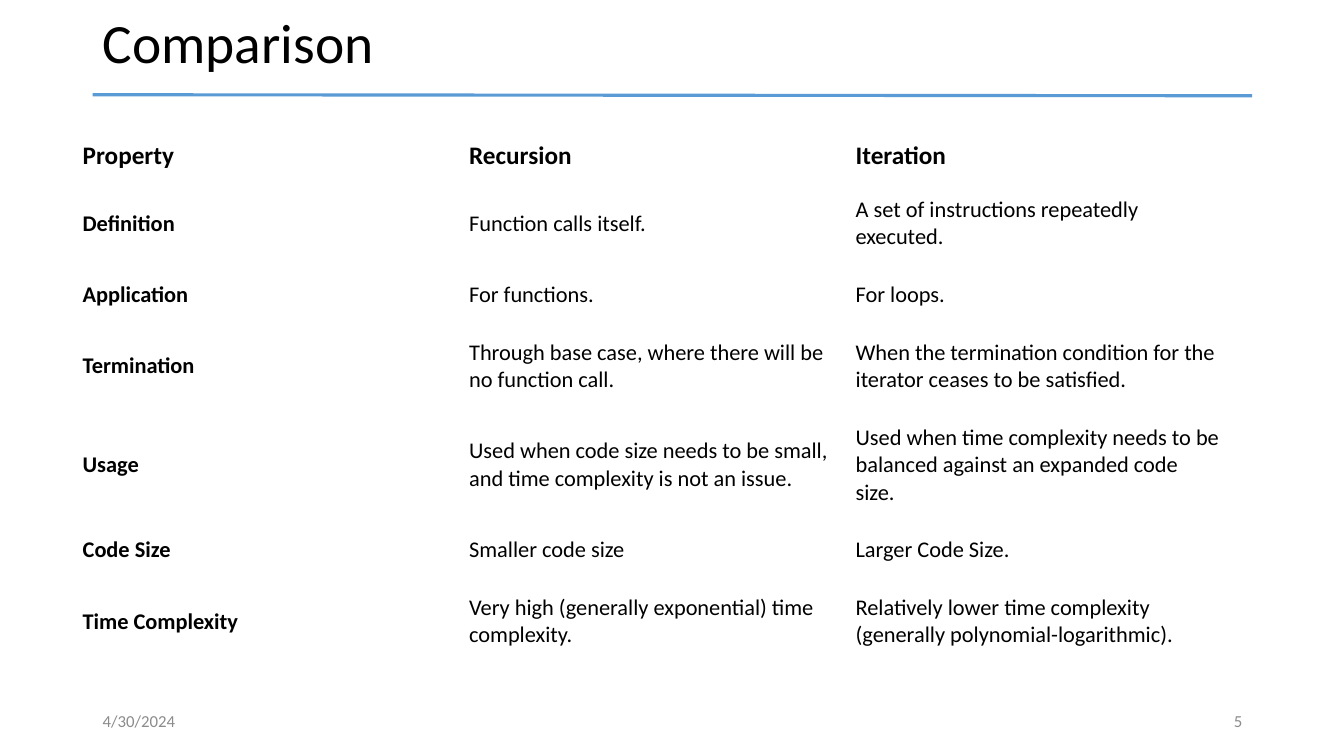
from lxml import etree
from pptx import Presentation
from pptx import util as u
from pptx.dml.color import RGBColor
from pptx.enum import shapes, text
from pptx.oxml.ns import qn

COLORS = {"ink": "000000", "paper": "FFFFFF", "rule": "5B9BD5", "footer": "8C8C8C"}
FONT = "Calibri"

HEADINGS = ("Property", "Recursion", "Iteration")
COMPARISON = [
    ("Definition", "Function calls itself.",
     "A set of instructions repeatedly executed."),
    ("Application", "For functions.", "For loops."),
    ("Termination", "Through base case, where there will be no function call.",
     "When the termination condition for the iterator ceases to be satisfied."),
    ("Usage",
     "Used when code size needs to be small, and time complexity is not an issue.",
     "Used when time complexity needs to be balanced against an expanded code size."),
    ("Code Size", "Smaller code size", "Larger Code Size."),
    ("Time Complexity", "Very high (generally exponential) time complexity.",
     "Relatively lower time complexity (generally polynomial-logarithmic)."),
]
ROW_HEIGHTS = (0.5, 0.84, 0.57, 0.84, 1.11, 0.57, 0.84)


class SlideBuilder:
    def __init__(self, slide):
        self.slide = slide

    def color(self, name):
        return RGBColor.from_string(COLORS[name])

    def set_text(self, frame, words, size, color="ink", bold=False,
                 align=text.PP_ALIGN.LEFT):
        frame.text = words
        frame.word_wrap = True
        para = frame.paragraphs[0]
        para.alignment = align
        font = para.runs[0].font
        font.name, font.size, font.bold = FONT, u.Pt(size), bold
        font.color.rgb = self.color(color)
        return para

    def title(self, words, left, top, width, height):
        box = self.slide.shapes.title
        box.left, box.top = u.Inches(left), u.Inches(top)
        box.width, box.height = u.Inches(width), u.Inches(height)
        para = self.set_text(box.text_frame, words, 39.6)
        para.line_spacing = 0.9
        box.text_frame.auto_size = text.MSO_AUTO_SIZE.NONE
        box.text_frame.vertical_anchor = text.MSO_ANCHOR.MIDDLE

    def line(self, x1, y1, x2, y2):
        rule = self.slide.shapes.add_connector(
            shapes.MSO_CONNECTOR.STRAIGHT, *map(u.Inches, (x1, y1, x2, y2)))
        rule.line.color.rgb = self.color("rule")
        rule.line.width = u.Pt(2.25)
        properties = rule._element.find(qn("p:spPr"))
        etree.SubElement(properties, qn("a:effectLst"))

    def footer(self, words, left, align):
        box = self.slide.shapes.add_textbox(
            *map(u.Inches, (left, 6.95, 3, 0.4)))
        self.set_text(box.text_frame, words, 12, "footer", align=align)
        box.text_frame.vertical_anchor = text.MSO_ANCHOR.MIDDLE

    def table(self, rows, heights, left, top, width):
        frame = self.slide.shapes.add_table(
            len(rows), len(rows[0]),
            *map(u.Inches, (left, top, width, sum(heights))))
        grid = frame.table
        for r, (row, height) in enumerate(zip(rows, heights)):
            grid.rows[r].height = u.Inches(height)
            header = r == 0
            for c, words in enumerate(row):
                cell = grid.cell(r, c)
                self.set_text(cell.text_frame, words, 18 if header else 16,
                              bold=header or c == 0)
                cell.fill.solid()
                cell.fill.fore_color.rgb = self.color("paper")
                cell.vertical_anchor = text.MSO_ANCHOR.MIDDLE
                cell.margin_left = cell.margin_right = u.Inches(0.1)
                cell.margin_top = cell.margin_bottom = u.Inches(0.1 if header else 0.15)


def main():
    deck = Presentation()
    deck.slide_width, deck.slide_height = u.Inches(13.33), u.Inches(7.5)
    page = SlideBuilder(deck.slides.add_slide(deck.slide_layouts[5]))
    page.line(0.92, 0.94, 12.42, 0.95)
    page.title("Comparison", 0.92, 0.11, 11.5, 0.69)
    page.table([HEADINGS] + COMPARISON, ROW_HEIGHTS, 0.72, 1.29, 11.5)
    page.footer("4/30/2024", 0.92, text.PP_ALIGN.LEFT)
    page.footer("5", 9.42, text.PP_ALIGN.RIGHT)
    deck.save("out.pptx")


if __name__ == "__main__":
    main()
